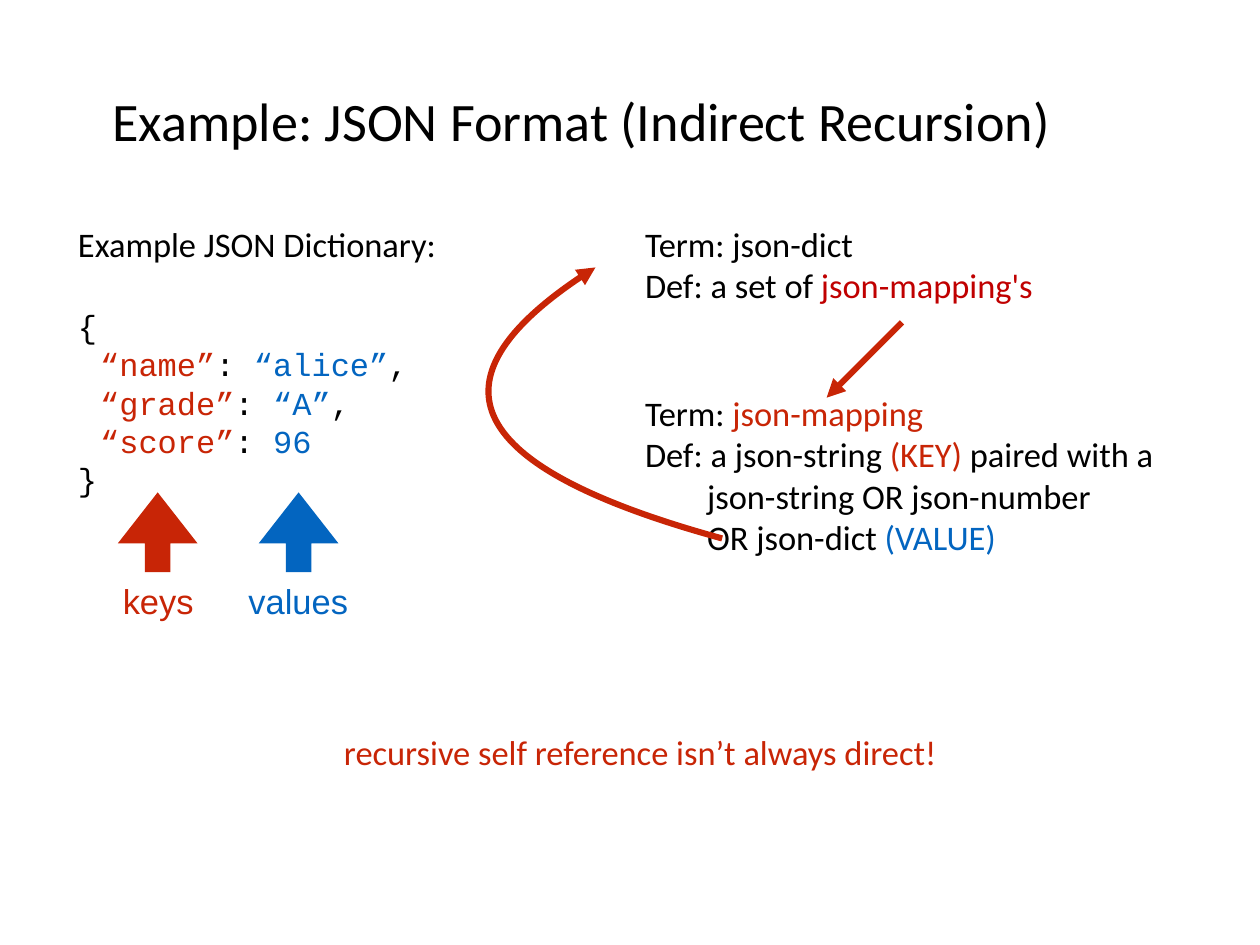
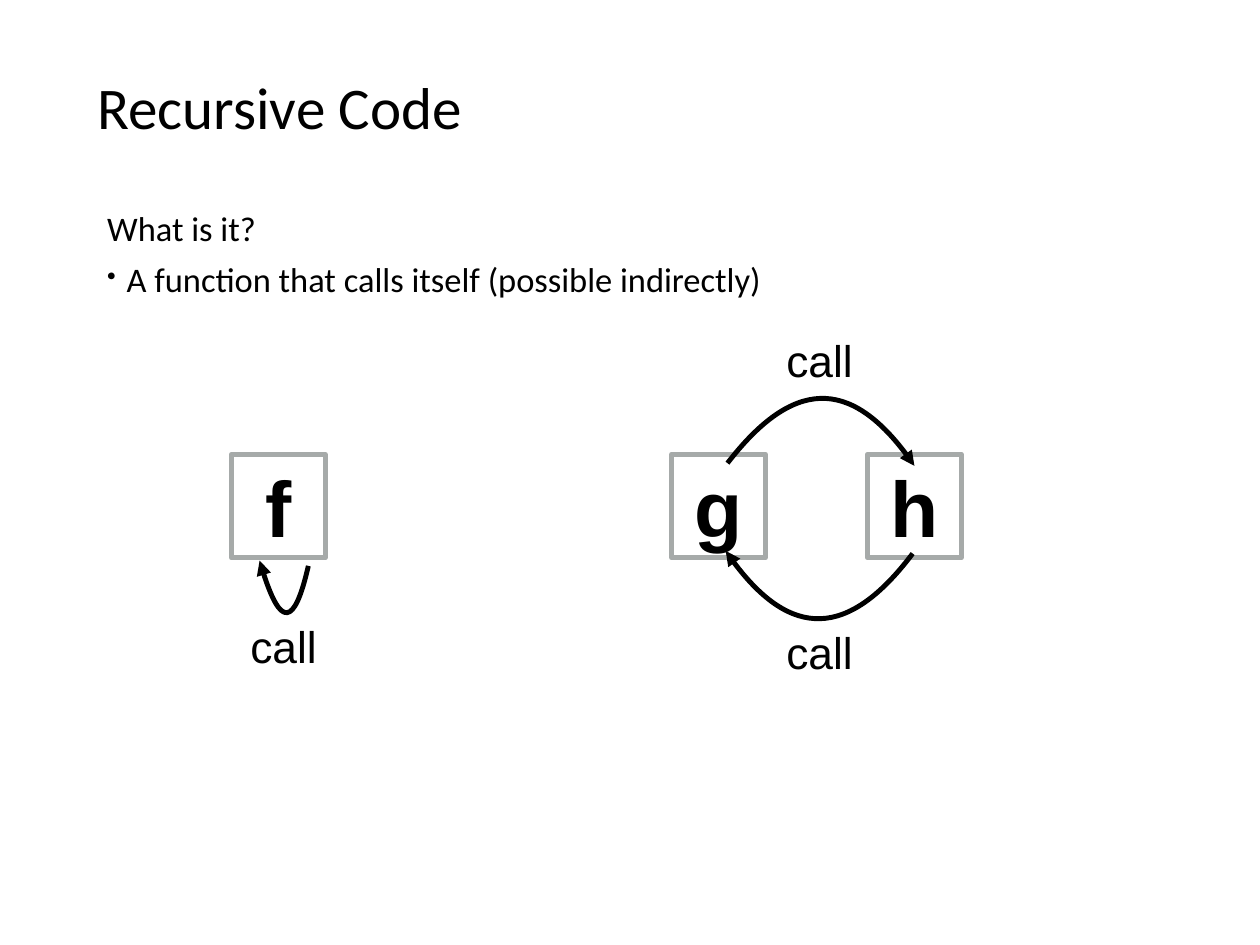
"""Build two slides on indirect recursion in data and in code."""
from lxml import etree
from pptx import Presentation
from pptx.dml.color import RGBColor
from pptx.enum.shapes import MSO_CONNECTOR, MSO_SHAPE
from pptx.enum.text import MSO_ANCHOR, PP_ALIGN
from pptx.oxml.ns import qn
from pptx.util import Pt

PX = 9144
TOP, MID = MSO_ANCHOR.TOP, MSO_ANCHOR.MIDDLE
LEFT, MIDDLE = PP_ALIGN.LEFT, PP_ALIGN.CENTER
RECT, ARROW = MSO_SHAPE.RECTANGLE, MSO_SHAPE.UP_ARROW
STRAIGHT = MSO_CONNECTOR.STRAIGHT
HEX = {"black": "000000", "red": "C82506", "dark": "C00000",
       "blue": "0365C0", "gray": "A6AAA9"}
RGB = {name: RGBColor.from_string(code) for name, code in HEX.items()}


def write(shape, lines, font, size, anchor=TOP, align=LEFT, wrap=True):
    """Fill a shape with lines of (margin, first indent, runs)."""
    frame = shape.text_frame
    frame.word_wrap = wrap
    frame.vertical_anchor = anchor
    frame.margin_left = frame.margin_right = 6 * PX
    frame.margin_top = frame.margin_bottom = 6 * PX
    frame.text = "\n" * (len(lines) - 1)
    for para, (margin, first, runs) in zip(frame.paragraphs, lines):
        para.alignment = align
        props = para._p.get_or_add_pPr()
        props.set("marL", str(margin * PX))
        props.set("indent", str(first * PX))
        for words, tint in runs:
            run = para.add_run()
            run.text = words
            run.font.name = font
            run.font.size = Pt(size)
            run.font.color.rgb = RGB[tint]
    return frame.paragraphs


def stroke(shape, tint, width):
    """Style a line and end it with an arrowhead."""
    shape.line.color.rgb = RGB[tint]
    shape.line.width = Pt(width)
    etree.SubElement(shape.line._get_or_add_ln(), qn("a:tailEnd"), type="triangle")


deck = Presentation()
deck.slide_width, deck.slide_height = 1422 * PX, 1067 * PX
blank = deck.slide_layouts[6]
json, code = [deck.slides.add_slide(blank) for _ in range(2)]

titles = [
    (json, 121, 65, 44, "Example: JSON Format (Indirect Recursion)"),
    (code, 104, 49, 48, "Recursive Code"),
]
for slide, x, y, size, words in titles:
    box = slide.shapes.add_textbox(x * PX, y * PX, 1214 * PX, 141 * PX)
    write(box, [(0, 0, [(words, "black")])], "Calibri", size, MID)

pairs = [("“name”", "“alice”", ","), ("“grade”", "“A”", ","), ("“score”", "96", "")]
lines = [(0, 0, [("Example JSON Dictionary:", "black")]), (0, 0, [("{", "black")])]
for key, value, end in pairs:
    runs = [(key, "red"), (": ", "black"), (value, "blue")]
    if end:
        runs.append((end, "black"))
    lines.append((25, 0, runs))
lines.append((0, 0, [("}", "black")]))
box = json.shapes.add_textbox(82 * PX, 246 * PX, 489 * PX, 355 * PX)
paras = write(box, lines, "Calibri", 28)
paras[0].space_after = Pt(34)
for para in paras[1:]:
    for run in para.runs:
        run.font.name = "Courier New"
        run.font.size = Pt(26)

lines = [
    (0, 0, [("Term: json-dict", "black")]),
    (0, 0, [("Def: a set of ", "black"), ("json-mapping's", "dark")]),
    (0, 0, [("Term: ", "black"), ("json-mapping", "red")]),
    (0, 0, [("Def: a json-string ", "black"), ("(KEY)", "red"),
            (" paired with a", "black")]),
    (70, 0, [("json-string OR json-number", "black")]),
    (70, 0, [("OR json-dict ", "black"), ("(VALUE)", "blue")]),
]
box = json.shapes.add_textbox(722 * PX, 246 * PX, 648 * PX, 390 * PX)
paras = write(box, lines, "Calibri", 28)
paras[2].space_before = Pt(70)

for x, tint in [(133, "red"), (292, "blue")]:
    arrow = json.shapes.add_shape(ARROW, x * PX, 556 * PX, 90 * PX, 90 * PX)
    arrow.adjustments[0], arrow.adjustments[1] = 0.32, 0.64
    arrow.shadow.inherit = False
    arrow.fill.solid()
    arrow.fill.fore_color.rgb = RGB[tint]
    arrow.line.fill.background()

link = json.shapes.add_connector(STRAIGHT, 1018 * PX, 364 * PX, 933 * PX, 449 * PX)
stroke(link, "red", 5)
etree.SubElement(link._element.spPr, qn("a:effectLst"))

for x, name in [(261, "f"), (758, "g"), (979, "h")]:
    node = code.shapes.add_shape(RECT, x * PX, 513 * PX, 106 * PX, 117 * PX)
    node.shadow.inherit = False
    node.fill.background()
    node.line.color.rgb = RGB["gray"]
    node.line.width = Pt(4)
    paras = write(node, [(0, 0, [(name, "black")])], "Arial", 64, MID, MIDDLE, False)
    paras[0].runs[0].font.bold = True

lines = [
    (33, -22, [("What is it?", "black")]),
    (33, -22, [("A function that calls itself (possible indirectly)", "black")]),
]
box = code.shapes.add_textbox(104 * PX, 228 * PX, 1304 * PX, 152 * PX)
paras = write(box, lines, "Calibri", 28)
paras[1].space_before = Pt(8)
props = paras[1]._p.get_or_add_pPr()
etree.SubElement(props, qn("a:buSzPct"), val="75000")
etree.SubElement(props, qn("a:buChar"), char="•")

curves = [
    (json, "red", 5, [(815, 608), (523, 528), (476, 425), (672, 302)]),
    (code, "black", 4, [(821, 523), (895, 427), (965, 427), (1032, 526)]),
    (code, "black", 4, [(1030, 625), (957, 722), (886, 721), (819, 622)]),
    (code, "black", 4, [(348, 639), (332, 709), (314, 707), (293, 633)]),
]
for slide, tint, width, knots in curves:
    dots = []
    for step in range(41):
        t = step / 40
        mix = [(1 - t) ** 3, 3 * t * (1 - t) ** 2, 3 * t * t * (1 - t), t ** 3]
        dots.append([round(sum(m * k[i] for m, k in zip(mix, knots))) for i in (0, 1)])
    form = slide.shapes.build_freeform(*dots[0], scale=PX)
    form.add_line_segments(dots[1:], close=False)
    curve = form.convert_to_shape()
    curve.shadow.inherit = False
    curve.fill.background()
    stroke(curve, tint, width)
    trace = next(curve._element.iter(qn("a:path")))
    for part in trace.findall(qn("a:lnTo")):
        trace.remove(part)
    bend = etree.SubElement(trace, qn("a:cubicBezTo"))
    left, top = [min(axis) for axis in zip(*dots)]
    for x, y in knots[1:]:
        etree.SubElement(bend, qn("a:pt"), x=str(x - left), y=str(y - top))

labels = [
    (json, 132, 649, 93, 58, "keys", "red", "Arial", 28),
    (json, 274, 649, 125, 58, "values", "blue", "Arial", 28),
    (json, 382, 820, 681, 58, "recursive self reference isn’t always direct!",
     "red", "Calibri", 28),
]
for x, y in [(880, 371), (880, 700), (275, 694)]:
    labels.append((code, x, y, 90, 71, "call", "black", "Arial", 36))
for slide, x, y, w, h, words, tint, font, size in labels:
    box = slide.shapes.add_textbox(x * PX, y * PX, w * PX, h * PX)
    write(box, [(0, 0, [(words, tint)])], font, size, MID, MIDDLE, False)

deck.save("out.pptx")
